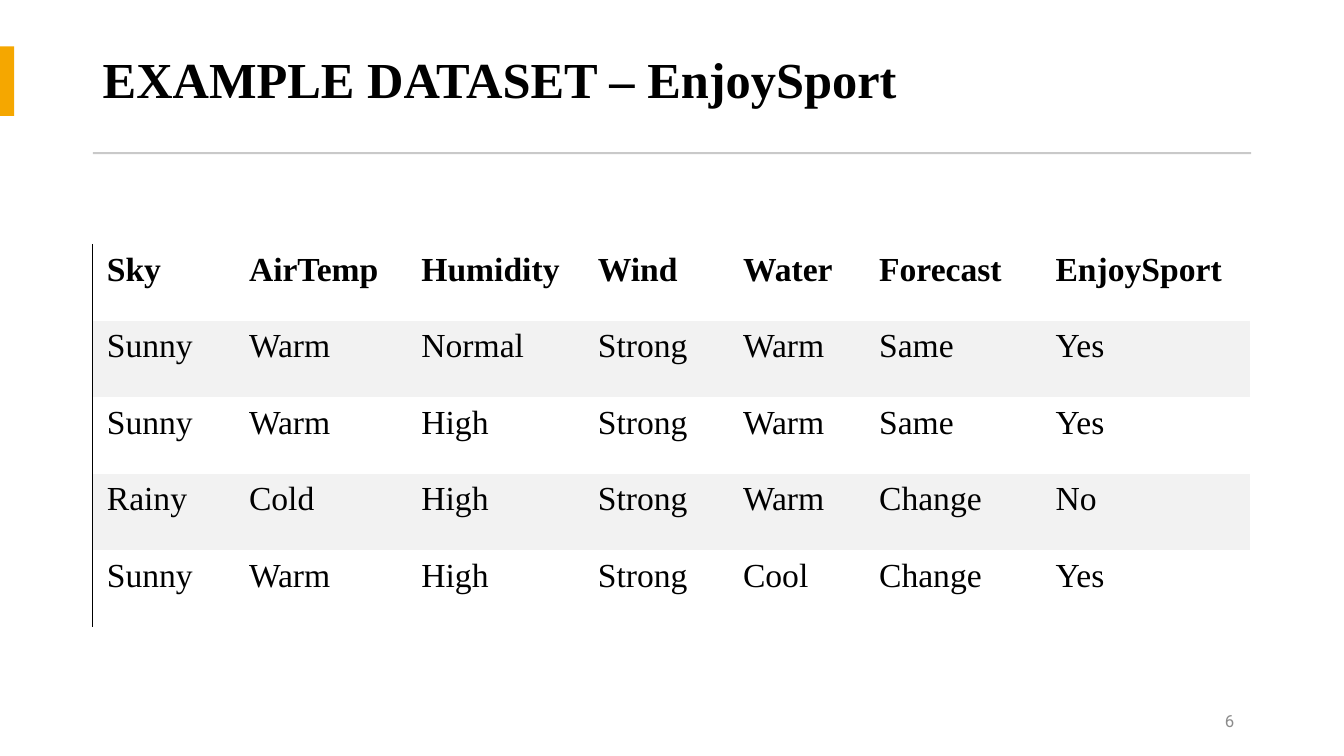
from lxml.etree import SubElement
from pptx import Presentation
from pptx.dml.color import RGBColor
from pptx.enum.shapes import MSO_SHAPE
from pptx.enum.text import MSO_ANCHOR, PP_ALIGN
from pptx.oxml.ns import qn
from pptx.util import Pt

EMU_PER_PX = 9144
SERIF = "Times New Roman"
BLACK = "000000"
BAND = "F2F2F2"
LEFT = 92
CONTENT_WIDTH = 1149
ROW_HEIGHT = 76
COLUMN_WIDTHS = [141, 171, 175, 144, 135, 175, 207]
DATASET = [
    ["Sky", "AirTemp", "Humidity", "Wind", "Water", "Forecast", "EnjoySport"],
    ["Sunny", "Warm", "Normal", "Strong", "Warm", "Same", "Yes"],
    ["Sunny", "Warm", "High", "Strong", "Warm", "Same", "Yes"],
    ["Rainy", "Cold", "High", "Strong", "Warm", "Change", "No"],
    ["Sunny", "Warm", "High", "Strong", "Cool", "Change", "Yes"],
]


def px(length):
    """Turn a length in px into EMU."""
    return length * EMU_PER_PX


def color(hex_text):
    """Turn a hex string into a colour."""
    return RGBColor.from_string(hex_text)


def write(frame, text, size, font, ink, bold=False):
    """Put one vertically centred, formatted line into a text frame."""
    frame.text = text
    para = frame.paragraphs[0]
    span = para.runs[0].font
    span.size, span.name, span.bold = Pt(size), font, bold
    span.color.rgb = color(ink)
    return para


def add_text(page, left, top, width, height, text, size, font, ink, bold=False):
    """Add a wrapped text box and return its paragraph."""
    box = page.shapes.add_textbox(px(left), px(top), px(width), px(height))
    frame = box.text_frame
    frame.word_wrap = True
    frame.vertical_anchor = MSO_ANCHOR.MIDDLE
    return write(frame, text, size, font, ink, bold)


def add_bar(page, left, top, width, height, fill):
    """Add a plain filled rectangle."""
    bar = page.shapes.add_shape(
        MSO_SHAPE.RECTANGLE, px(left), px(top), px(width), px(height))
    bar.shadow.inherit = False
    bar.fill.solid()
    bar.fill.fore_color.rgb = color(fill)
    bar.line.fill.background()


def set_borders(cell, has_left_line):
    """Clear the cell borders, except for an optional black left line."""
    properties = cell._tc.get_or_add_tcPr()
    for side in "LRTB":
        border = SubElement(properties, qn(f"a:ln{side}"), w=str(Pt(0.75)))
        if side == "L" and has_left_line:
            fill = SubElement(border, qn("a:solidFill"))
            SubElement(fill, qn("a:srgbClr"), val=BLACK)
        else:
            SubElement(border, qn("a:noFill"))


def format_cell(cell, text, row, column):
    """Write and style one cell by its place in the table."""
    cell.margin_left, cell.margin_top = px(14), px(4)
    cell.margin_right, cell.margin_bottom = px(20), px(29)
    cell.vertical_anchor = MSO_ANCHOR.MIDDLE
    write(cell.text_frame, text, 24, SERIF, BLACK, bold=row == 0)
    set_borders(cell, has_left_line=column == 0)
    if row % 2:
        cell.fill.solid()
        cell.fill.fore_color.rgb = color(BAND)
    else:
        cell.fill.background()


def add_dataset(page, left, top):
    """Add the table of training examples."""
    table = page.shapes.add_table(
        len(DATASET), len(COLUMN_WIDTHS), px(left), px(top),
        px(sum(COLUMN_WIDTHS)), px(ROW_HEIGHT * len(DATASET))).table
    table.first_row = False
    table.horz_banding = False
    for column, width in zip(table.columns, COLUMN_WIDTHS):
        column.width = px(width)
    for row, values in enumerate(DATASET):
        table.rows[row].height = px(ROW_HEIGHT)
        for column, text in enumerate(values):
            format_cell(table.cell(row, column), text, row, column)


def main():
    """Build the slide and save it."""
    deck = Presentation()
    deck.slide_width, deck.slide_height = px(1333), px(750)
    page = deck.slides.add_slide(deck.slide_layouts[6])
    page.background.fill.solid()
    page.background.fill.fore_color.rgb = color("FFFFFF")
    title = add_text(page, LEFT, 27, CONTENT_WIDTH, 110,
                     "EXAMPLE DATASET – EnjoySport", 36, SERIF, BLACK, bold=True)
    title.line_spacing = 0.9
    add_bar(page, 0, 46, 14, 69, "F5A700")
    add_bar(page, LEFT, 151, CONTENT_WIDTH, 2, "C9C9C9")
    add_dataset(page, LEFT, 242)
    number = add_text(page, 934, 695, 300, 40, "6", 12, "Roboto", "8C8C8C")
    number.alignment = PP_ALIGN.RIGHT
    deck.save("out.pptx")


if __name__ == "__main__":
    main()
